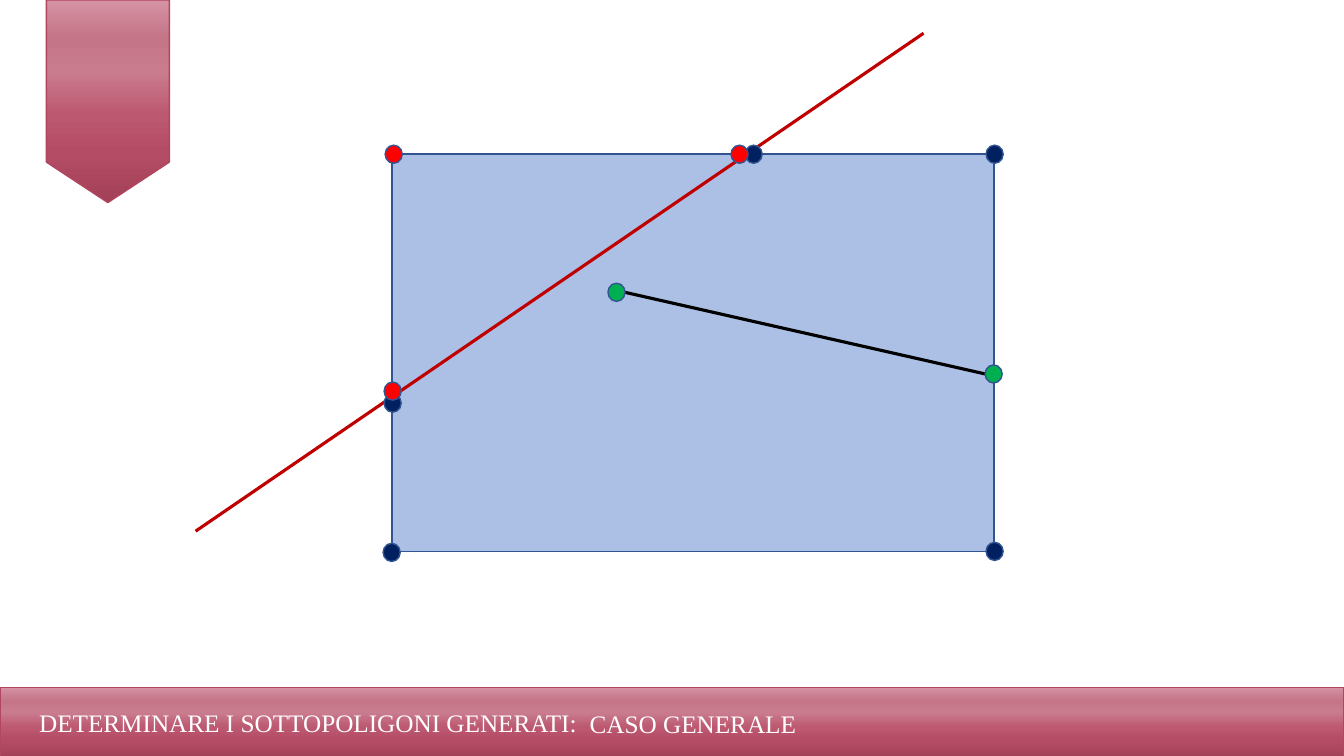
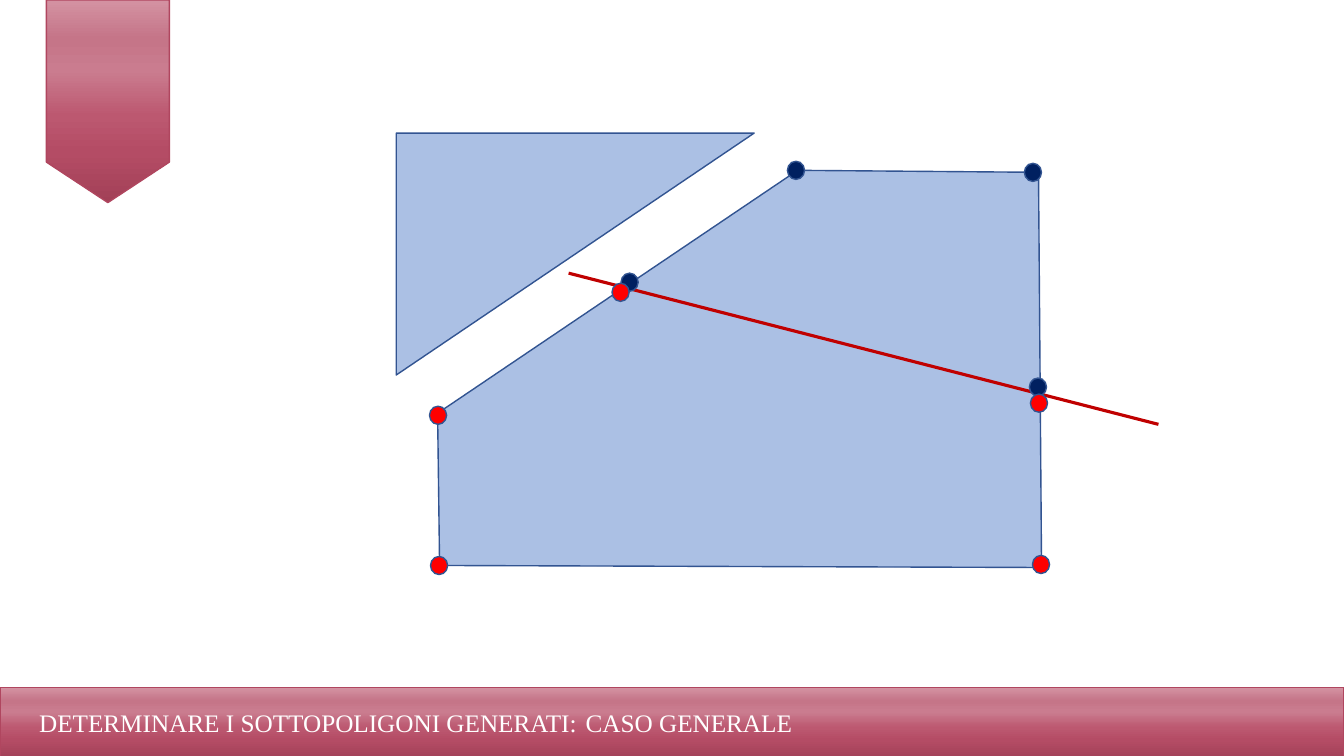
from pptx import Presentation
from pptx.dml.color import RGBColor
from pptx.enum import shapes as kinds
from pptx.oxml import ns
from pptx.util import Inches, Pt
from lxml import etree

# Shared look
FONT = "Times New Roman"
WHITE = RGBColor(0xFF, 0xFF, 0xFF)
BLACK = RGBColor(0, 0, 0)
BAND_EDGE = RGBColor(0xB0, 0x46, 0x5F)
POLYGON = RGBColor(0xAB, 0xC0, 0xE4)
OUTLINE = RGBColor(0x32, 0x54, 0x91)
CUT = RGBColor(0xC0, 0, 0)
NAVY = RGBColor(0, 0x20, 0x60)
RED = RGBColor(0xFF, 0, 0)
GREEN = RGBColor(0, 0xB0, 0x50)
# Gradient stops from bottom to top, position in percent
BAND_STOPS = [(0, "A24057"), (25, "B44C65"), (43, "BC5870"),
              (65, "CA7C8F"), (81, "C57588"), (99, "D391A1")]
DOT_W, DOT_H = 0.17, 0.18
SHAPE = kinds.MSO_SHAPE

TITLE = "DETERMINARE I SOTTOPOLIGONI GENERATI:"
CASE = "CASO GENERALE"

# Content: lines are (from, to, colour); dots are (colour, top-left corners)
SLIDES = [
    {
        "case_at": (5.75, 6.98),
        "rectangle": (3.89, 1.53, 5.97, 3.94),
        "lines": [((1.94, 5.27), (9.16, 0.33), CUT),
                  ((6.11, 2.88), (9.86, 3.73), BLACK)],
        "dots": [
            (NAVY, [(9.78, 1.44), (9.78, 5.38), (3.8, 5.39), (7.39, 1.44), (3.81, 3.91)]),
            (RED, [(3.81, 3.79), (7.25, 1.44), (3.82, 1.44)]),
            (GREEN, [(6.03, 2.81), (9.77, 3.62)]),
        ],
    },
    {
        "case_at": (5.71, 6.97),
        "triangle": (3.93, 1.32, 3.55, 2.4),
        "pentagon": [(4.34, 4.1), (7.91, 1.69), (10.3, 1.71), (10.33, 5.63), (4.36, 5.61)],
        "lines": [((5.64, 2.71), (11.49, 4.21), CUT)],
        "dots": [
            (NAVY, [(7.81, 1.6), (10.16, 1.62), (6.16, 2.71), (10.21, 3.75)]),
            (RED, [(4.26, 4.03), (4.27, 5.52), (10.22, 3.91), (6.07, 2.81), (10.24, 5.51)]),
        ],
    },
]


def inches(values):
    return [Inches(v) for v in values]


def paint(shape, fill, edge):
    shape.shadow.inherit = False
    if fill is not None:
        shape.fill.solid()
        shape.fill.fore_color.rgb = fill
    shape.line.color.rgb = edge
    shape.line.width = Pt(1)
    return shape


def add_figure(slide, kind, box, fill, edge=OUTLINE):
    return paint(slide.shapes.add_shape(kind, *inches(box)), fill, edge)


def add_band(slide, kind, box):
    band = add_figure(slide, kind, box, None, BAND_EDGE)
    band.fill.gradient()
    band.fill.gradient_angle = 90
    stops = band.element.spPr.find(ns.qn("a:gradFill")).find(ns.qn("a:gsLst"))
    for old in list(stops):
        stops.remove(old)
    for percent, colour in BAND_STOPS:
        stop = etree.SubElement(stops, ns.qn("a:gs"), pos=str(percent * 1000))
        etree.SubElement(stop, ns.qn("a:srgbClr"), val=colour)


def add_label(slide, words, box, wrap):
    frame = slide.shapes.add_textbox(*inches(box)).text_frame
    frame.word_wrap = wrap
    run = frame.paragraphs[0].add_run()
    run.text = words
    run.font.name = FONT
    run.font.size = Pt(18)
    run.font.color.rgb = WHITE


def add_line(slide, start, end, colour):
    line = slide.shapes.add_connector(kinds.MSO_CONNECTOR.STRAIGHT, *inches(start + end))
    line.line.color.rgb = colour
    line.line.width = Pt(2.25)
    etree.SubElement(line.element.spPr, ns.qn("a:effectLst"))


def add_polygon(slide, corners):
    first, *rest = [tuple(inches(corner)) for corner in corners]
    builder = slide.shapes.build_freeform(*first)
    builder.add_line_segments(rest, close=True)
    paint(builder.convert_to_shape(), POLYGON, OUTLINE)


def build_slide(deck, content):
    slide = deck.slides.add_slide(deck.slide_layouts[6])

    # Ribbon and title band
    add_band(slide, SHAPE.FLOWCHART_OFFPAGE_CONNECTOR, (0.46, 0, 1.22, 2.01))
    add_band(slide, SHAPE.RECTANGLE, (0, 6.82, 13.33, 0.7))
    add_label(slide, TITLE, (0.29, 6.97, 8.1, 0.4), True)
    add_label(slide, CASE, content["case_at"] + (2.27, 0.4), False)

    # Polygons
    if "rectangle" in content:
        add_figure(slide, SHAPE.RECTANGLE, content["rectangle"], POLYGON)
    if "triangle" in content:
        triangle = add_figure(slide, SHAPE.RIGHT_TRIANGLE, content["triangle"], POLYGON)
        triangle.rotation = 180
        triangle.element.spPr.xfrm.set("flipH", "1")
    if "pentagon" in content:
        add_polygon(slide, content["pentagon"])

    # Cutting lines, then vertices on top
    for start, end, colour in content["lines"]:
        add_line(slide, start, end, colour)
    for colour, corners in content["dots"]:
        for corner in corners:
            add_figure(slide, SHAPE.OVAL, corner + (DOT_W, DOT_H), colour)


def main():
    deck = Presentation()
    deck.slide_width, deck.slide_height = Inches(13.33), Inches(7.5)
    for content in SLIDES:
        build_slide(deck, content)
    deck.save("out.pptx")


if __name__ == "__main__":
    main()
